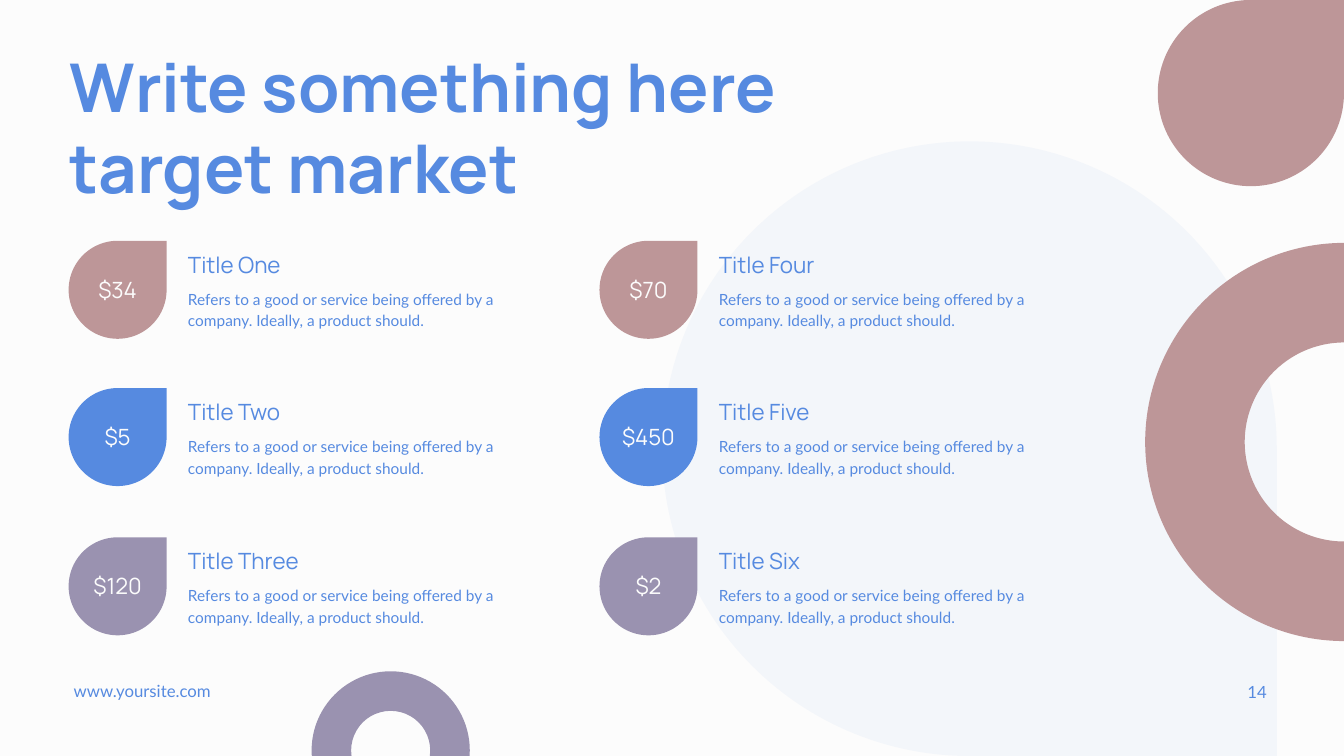
from dataclasses import dataclass

from lxml.etree import SubElement
from pptx import Presentation
from pptx.dml.color import RGBColor
from pptx.enum.shapes import MSO_SHAPE as Preset
from pptx.enum.text import MSO_ANCHOR as Anchor, MSO_AUTO_SIZE as AutoSize, PP_ALIGN as Align
from pptx.oxml.ns import qn
from pptx.shapes.autoshape import Shape
from pptx.util import Pt


@dataclass(frozen=True)
class Theme:
    paper: str = "FCFCFC"
    blue: str = "568AE0"
    rose: str = "BD9698"
    violet: str = "9A92B0"
    heading_font: str = "Manrope"
    body_font: str = "Lato"
    headline_size: float = 48
    label_size: float = 16
    footer_size: float = 12
    body_size: float = 11
    body_leading: float = 15.3


THEME = Theme()


@dataclass(frozen=True)
class Box:
    left: float
    top: float
    width: float
    height: float

    def lengths(self) -> tuple[Pt, ...]:
        return Pt(self.left), Pt(self.top), Pt(self.width), Pt(self.height)


@dataclass(frozen=True)
class Style:
    font: str
    size: float
    color: str = THEME.blue
    bold: bool = False
    align: Align = Align.LEFT
    leading: float | None = None


@dataclass(frozen=True)
class Offer:
    price: str
    title: str


HEADLINE = Style(THEME.heading_font, THEME.headline_size, bold=True)
LABEL = Style(THEME.heading_font, THEME.label_size)
PRICE = Style(THEME.heading_font, THEME.label_size, THEME.paper, align=Align.CENTER)
BODY = Style(THEME.body_font, THEME.body_size, leading=THEME.body_leading)
SITE = Style(THEME.body_font, THEME.footer_size)
PAGE_NUMBER = Style(THEME.body_font, THEME.footer_size, align=Align.RIGHT)

DESCRIPTION = "Refers to a good or service being offered by a company. Ideally, a product should."
COLUMNS = {
    49: (Offer("$34", "Title One"), Offer("$5", "Title Two"), Offer("$120", "Title Three")),
    428.2: (Offer("$70", "Title Four"), Offer("$450", "Title Five"), Offer("$2", "Title Six")),
}
ROWS = ((172, THEME.rose), (277.2, THEME.blue), (383.8, THEME.violet))
DROP_SIZE = 70


def add_text(shapes, box: Box, text: str, style: Style, *, inset: bool = True,
             wrap: bool = True, grow: bool = True, anchor: Anchor = Anchor.TOP) -> None:
    frame = shapes.add_textbox(*box.lengths()).text_frame
    frame.word_wrap = wrap
    frame.auto_size = AutoSize.SHAPE_TO_FIT_TEXT if grow else AutoSize.NONE
    frame.vertical_anchor = anchor
    if not inset:
        frame.margin_left = frame.margin_top = frame.margin_right = frame.margin_bottom = 0
    para = frame.paragraphs[0]
    para.text = text
    para.alignment = style.align
    if style.leading:
        para.line_spacing = Pt(style.leading)
    para.font.name = style.font
    para.font.size = Pt(style.size)
    para.font.bold = style.bold
    para.font.color.rgb = RGBColor.from_string(style.color)


def add_figure(shapes, preset: Preset, box: Box, color: str) -> Shape:
    figure = shapes.add_shape(preset, *box.lengths())
    figure.shadow.inherit = False
    figure.fill.solid()
    figure.fill.fore_color.rgb = RGBColor.from_string(color)
    figure.line.fill.background()
    return figure


def add_ring(shapes, box: Box, color: str) -> None:
    ring = add_figure(shapes, Preset.DONUT, box, color)
    ring.adjustments[0] = 0.25


def add_pale_drop(shapes, box: Box) -> None:
    """Draw a faint teardrop whose point is at the bottom right."""
    drop = add_figure(shapes, Preset.TEAR, box, THEME.blue)
    properties = drop.element.spPr
    properties.find(qn("a:xfrm")).set("flipV", "1")
    color = properties.find(qn("a:solidFill")).find(qn("a:srgbClr"))
    SubElement(color, qn("a:alpha")).set("val", "5000")


def add_offer(shapes, left: float, top: float, color: str, offer: Offer) -> None:
    add_figure(shapes, Preset.TEAR, Box(left, top, DROP_SIZE, DROP_SIZE), color)
    add_text(shapes, Box(left, top + 21.6, DROP_SIZE, 26.6), offer.price, PRICE, wrap=False)
    words = shapes.add_group_shape().shapes
    text_left = left + 78.2
    add_text(words, Box(text_left, top + 3.6, 145.4, 26.6), offer.title, LABEL)
    add_text(words, Box(text_left, top + 29.5, 265.7, 36), DESCRIPTION, BODY)


def main() -> None:
    deck = Presentation()
    deck.slide_width, deck.slide_height = Pt(960), Pt(540)
    page = deck.slides.add_slide(deck.slide_layouts[6])
    page.background.fill.solid()
    page.background.fill.fore_color.rgb = RGBColor.from_string(THEME.paper)
    shapes = page.shapes

    add_text(shapes, Box(52.6, 486, 195, 14.4), "www.yoursite.com", SITE, inset=False)
    add_figure(shapes, Preset.TEAR, Box(827, 0, 133, 133), THEME.rose)
    add_pale_drop(shapes, Box(473, 101, 439, 439))
    add_text(shapes, Box(696, 479.5, 216, 28.8), "14", PAGE_NUMBER,
             grow=False, anchor=Anchor.MIDDLE)
    add_text(shapes, Box(49.7, 32.4, 646.6, 116.6), "Write something here target market",
             HEADLINE, inset=False)

    for left, offers in COLUMNS.items():
        for (top, color), offer in zip(ROWS, offers):
            add_offer(shapes, left, top, color, offer)

    add_ring(shapes, Box(818, 173.5, 284.4, 284.4), THEME.rose)
    add_ring(shapes, Box(222.6, 479.5, 113, 113), THEME.violet)
    deck.save("out.pptx")


if __name__ == "__main__":
    main()
